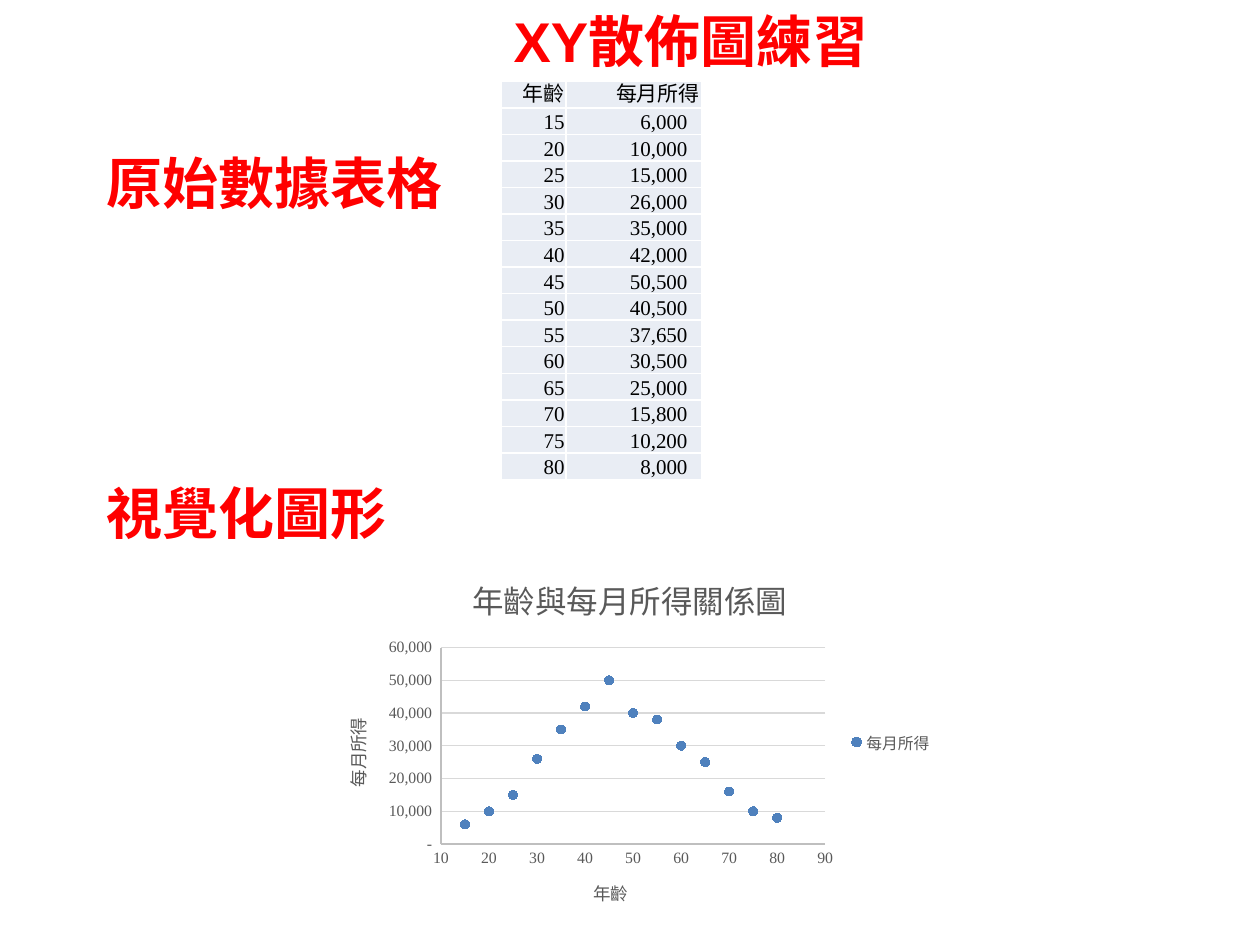
import pptx
import pptx.chart.data
import pptx.dml.color
import pptx.enum.chart
import pptx.enum.text
import pptx.oxml
import pptx.oxml.ns
import pptx.util

Cm, Pt = pptx.util.Cm, pptx.util.Pt

# Content
TITLE = ("XY散佈圖練習", 10.1, 0, 12.6)
HEADINGS = [("原始數據表格", 1.9, 2.87, 7.59), ("視覺化圖形", 1.9, 9.53, 7.59)]
HEADING_HEIGHT = 1.62
AGE, INCOME = "年齡", "每月所得"
CHART_TITLE = "年齡與每月所得關係圖"
INCOMES = [6000, 10000, 15000, 26000, 35000, 42000, 50500,
           40500, 37650, 30500, 25000, 15800, 10200, 8000]
DATA = [(15 + 5 * index, income) for index, income in enumerate(INCOMES)]

COLORS = {name: pptx.dml.color.RGBColor.from_string(value) for name, value in {
    "heading": "FF0000", "cell": "E9EDF4", "text": "000000", "label": "595959",
    "axis": "BFBFBF", "grid": "D9D9D9", "marker": "4F81BD"}.items()}
BORDER = "FFFFFF"
SERIF = "Times New Roman"


def set_all(target, values):
    for name, value in values.items():
        setattr(target, name, value)


def set_font(font, size, color, name=SERIF, bold=False):
    set_all(font, {"size": Pt(size), "name": name, "bold": bold})
    font.color.rgb = COLORS[color]


def write_heading(shape, text, left, top, width):
    set_all(shape, {"left": Cm(left), "top": Cm(top),
                    "width": Cm(width), "height": Cm(HEADING_HEIGHT)})
    set_all(shape.text_frame, {
        "text": text, "word_wrap": True,
        "auto_size": pptx.enum.text.MSO_AUTO_SIZE.NONE,
        "vertical_anchor": pptx.enum.text.MSO_ANCHOR.TOP})
    paragraph = shape.text_frame.paragraphs[0]
    paragraph.alignment = pptx.enum.text.PP_ALIGN.LEFT
    set_font(paragraph.runs[0].font, 32, "heading", "Arial", True)


def write_cell(cell, text, right_margin):
    set_all(cell, {"text": text, "margin_left": Cm(0.02), "margin_top": Cm(0.02),
                   "margin_right": Cm(right_margin), "margin_bottom": 0,
                   "vertical_anchor": pptx.enum.text.MSO_ANCHOR.BOTTOM})
    paragraph = cell.text_frame.paragraphs[0]
    paragraph.alignment = pptx.enum.text.PP_ALIGN.RIGHT
    set_font(paragraph.runs[0].font, 12, "text")
    cell.fill.solid()
    cell.fill.fore_color.rgb = COLORS["cell"]
    properties = cell._tc.get_or_add_tcPr()
    for position, side in enumerate(("lnL", "lnR", "lnT", "lnB")):
        properties.insert(position, pptx.oxml.parse_xml(
            f'<a:{side} {pptx.oxml.ns.nsdecls("a")} w="12700"><a:solidFill>'
            f'<a:srgbClr val="{BORDER}"/></a:solidFill></a:{side}>'))


def write_title(owner, text, size):
    owner.has_title = True
    title = owner.chart_title if hasattr(owner, "chart_title") else owner.axis_title
    title.text_frame.text = text
    set_font(title.text_frame.paragraphs[0].runs[0].font, size, "label")


def set_line(line, color):
    line.color.rgb = COLORS[color]
    line.width = Pt(0.75)


presentation = pptx.Presentation()
set_all(presentation, {"slide_width": Cm(25.4), "slide_height": Cm(19.05)})
slide = presentation.slides.add_slide(presentation.slide_layouts.get_by_name("Title Only"))

# Headings
write_heading(slide.shapes.title, *TITLE)
for heading in HEADINGS:
    write_heading(slide.shapes.add_textbox(0, 0, 0, 0), *heading)

# Data table
rows = [(AGE, INCOME)] + [(str(age), f"{income:,}") for age, income in DATA]
table = slide.shapes.add_table(len(rows), 2, Cm(10.11), Cm(1.64),
                               Cm(4.03), Cm(8.03)).table
set_all(table, {"first_row": False, "horz_banding": False})
for column, width in zip(table.columns, (1.3, 2.73)):
    column.width = Cm(width)
for row_index, row in enumerate(rows):
    for column_index, text in enumerate(row):
        is_income = row_index > 0 and column_index == 1
        write_cell(table.cell(row_index, column_index), text, 0.28 if is_income else 0.03)
# Exact spacing keeps the header row as low as the number rows
for cell in table.rows[0].cells:
    cell.text_frame.paragraphs[0].line_spacing = Pt(14)

# Scatter chart, incomes to the nearest thousand
chart_data = pptx.chart.data.XyChartData()
points = chart_data.add_series(INCOME)
for age, income in DATA:
    points.add_data_point(age, round(income, -3))
chart = slide.shapes.add_chart(pptx.enum.chart.XL_CHART_TYPE.XY_SCATTER, Cm(6.35),
                               Cm(11.15), Cm(12.7), Cm(7.62), chart_data).chart
set_font(chart.font, 10, "text")
write_title(chart, CHART_TITLE, 18)
chart.has_legend = True
set_all(chart.legend, {"position": pptx.enum.chart.XL_LEGEND_POSITION.RIGHT,
                       "include_in_layout": False})
set_font(chart.legend.font, 9, "label")

AXES = [
    (chart.category_axis, AGE, "General",
     {"minimum_scale": 10, "maximum_scale": 90, "major_unit": 10,
      "has_major_gridlines": False}),
    (chart.value_axis, INCOME, '#,##0_ ;-#,##0_ ;"-"_ ',
     {"minimum_scale": 0, "maximum_scale": 60000, "major_unit": 10000,
      "has_major_gridlines": True}),
]
for axis, title, number_format, values in AXES:
    set_all(axis, values)
    axis.major_tick_mark = axis.minor_tick_mark = pptx.enum.chart.XL_TICK_MARK.NONE
    set_all(axis.tick_labels, {"number_format": number_format,
                               "number_format_is_linked": False})
    set_font(axis.tick_labels.font, 9, "label")
    set_line(axis.format.line, "axis")
    write_title(axis, title, 10)
set_line(chart.value_axis.major_gridlines.format.line, "grid")

chart.plots[0].vary_by_categories = False
series = chart.plots[0].series[0]
series.smooth = False
series.format.line.fill.background()
set_all(series.marker, {"style": pptx.enum.chart.XL_MARKER_STYLE.CIRCLE, "size": 5})
series.marker.format.fill.solid()
series.marker.format.fill.fore_color.rgb = COLORS["marker"]
set_line(series.marker.format.line, "marker")

# Plot area position, as shares of the chart
plot_area = chart._chartSpace.chart.plotArea
for layout in plot_area.findall(pptx.oxml.ns.qn("c:layout")):
    plot_area.remove(layout)
shares = "".join(f'<c:{name} val="{share}"/>' for name, share in
                 {"x": 0.2, "y": 0.25, "w": 0.61, "h": 0.52}.items())
plot_area.insert(0, pptx.oxml.parse_xml(
    f'<c:layout {pptx.oxml.ns.nsdecls("c")}><c:manualLayout>'
    '<c:layoutTarget val="inner"/><c:xMode val="edge"/><c:yMode val="edge"/>'
    f'{shares}</c:manualLayout></c:layout>'))

presentation.save("out.pptx")
